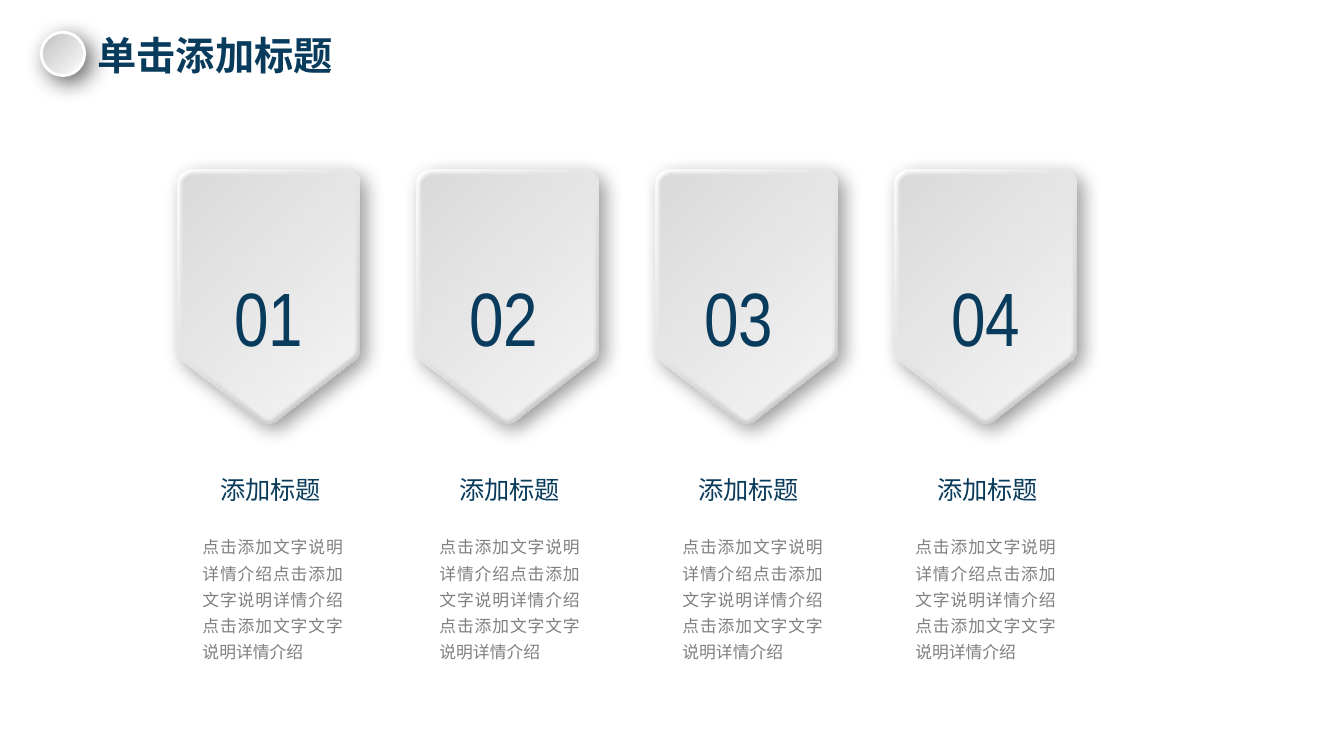
from lxml import etree
from pptx import Presentation
from pptx.dml.color import RGBColor
from pptx.enum.shapes import MSO_SHAPE as Shape
from pptx.enum.text import MSO_AUTO_SIZE as AutoSize, PP_ALIGN as Align
from pptx.oxml.ns import qn
from pptx.util import Inches, Pt

NAVY = "093B5C"
GREY = "808080"
CJK_FONT = "Noto Sans CJK SC"
NUMBER_FONT = "Arial Narrow"

BADGE_LEFT = 1.76
BADGE_TOP = 1.68
COLUMN_STEP = 2.37
HEADING = "添加标题"
DESCRIPTION = "点击添加文字说明详情介绍点击添加文字说明详情介绍点击添加文字文字说明详情介绍"
# number, left of the number box, left of the description box
COLUMNS = [
    ("01", 2.13, 1.91),
    ("02", 4.46, 4.26),
    ("03", 6.79, 6.67),
    ("04", 9.24, 8.98),
]

# Badge outline from its top left corner: one point is a line, three are a curve
BADGE_START = (1.81, 0.13)
BADGE_STEPS = [
    [(1.81, 1.8)],
    [(1.81, 1.83), (1.79, 1.86), (1.77, 1.89)],
    [(1.75, 1.9)],
    [(0.98, 2.5)],
    [(0.93, 2.53), (0.86, 2.53), (0.81, 2.49)],
    [(0.05, 1.9)],
    [(0.02, 1.87), (0, 1.84), (0, 1.8)],
    [(0, 0.13)],
    [(0, 0.06), (0.07, 0), (0.15, 0)],
    [(1.66, 0)],
    [(1.74, 0), (1.81, 0.06), (1.81, 0.13)],
]
CURVE_PARTS = 8


def color(hex_string):
    return RGBColor.from_string(hex_string)


def add_text(slide, text, left, top, width, height, *, size, font=CJK_FONT,
             fill=NAVY, bold=False, align=Align.LEFT, line_spacing=None):
    box = slide.shapes.add_textbox(Inches(left), Inches(top), Inches(width), Inches(height))
    frame = box.text_frame
    frame.word_wrap = True
    frame.auto_size = AutoSize.SHAPE_TO_FIT_TEXT
    para = frame.paragraphs[0]
    para.alignment = align
    if line_spacing:
        para.line_spacing = line_spacing
    span = para.add_run()
    span.text = text
    span.font.size = Pt(size)
    span.font.bold = bold
    span.font.name = font
    span.font.color.rgb = color(fill)
    east_asian = etree.SubElement(span.font._element, qn("a:ea"))
    east_asian.set("typeface", font)


def set_gradient(shape, start, end, angle):
    shape.fill.gradient()
    shape.fill.gradient_angle = angle
    for stop, hex_string in zip(shape.fill.gradient_stops, (start, end)):
        stop.color.rgb = color(hex_string)


def add_effect(shape, tag, **attributes):
    shape.shadow.inherit = False
    effects = shape._element.spPr.find(qn("a:effectLst"))
    effect = etree.SubElement(effects, qn(tag))
    for name, value in attributes.items():
        effect.set(name, str(value))
    return effect


def add_shadow(shape, opacity, blur, distance):
    shadow = add_effect(shape, "a:outerShdw", blurRad=Pt(blur), dist=Pt(distance),
                        dir=45 * 60000, algn="tl", rotWithShape=0)
    tint = etree.SubElement(shadow, qn("a:srgbClr"), val="000000")
    etree.SubElement(tint, qn("a:alpha"), val=str(opacity * 1000))


def curve_points(start, first, second, end):
    points = []
    for part in range(1, CURVE_PARTS + 1):
        t = part / CURVE_PARTS
        weights = ((1 - t) ** 3, 3 * t * (1 - t) ** 2, 3 * t * t * (1 - t), t ** 3)
        corners = (start, first, second, end)
        points.append(tuple(sum(w * c[axis] for w, c in zip(weights, corners))
                            for axis in (0, 1)))
    return points


def badge_points():
    points = [BADGE_START]
    for step in BADGE_STEPS:
        points += step if len(step) == 1 else curve_points(points[-1], *step)
    return points


def add_badge_layer(group, left, start, end):
    points = [(Inches(left + x), Inches(BADGE_TOP + y)) for x, y in badge_points()]
    builder = group.shapes.build_freeform(*points[0])
    builder.add_line_segments(points[1:], close=True)
    layer = builder.convert_to_shape()
    set_gradient(layer, start, end, 315)
    layer.line.fill.background()
    return layer


def add_badge(slide, left):
    group = slide.shapes.add_group_shape()
    rim = add_badge_layer(group, left, "FFFFFF", "C2C2C2")
    add_shadow(rim, opacity=40, blur=14, distance=6)
    face = add_badge_layer(group, left, "D9D9D9", "F7F7F7")
    add_effect(face, "a:softEdge", rad=Pt(2.5))


def add_title_dot(slide):
    dot = slide.shapes.add_shape(Shape.OVAL, Inches(0.41), Inches(0.32),
                                 Inches(0.43), Inches(0.43))
    set_gradient(dot, "FFFFFF", "BFBFBF", 135)
    dot.line.color.rgb = color("FFFFFF")
    dot.line.width = Pt(2)
    add_shadow(dot, opacity=60, blur=16, distance=6)


def main():
    deck = Presentation()
    deck.slide_width = Inches(13.33)
    deck.slide_height = Inches(7.5)
    page = deck.slides.add_slide(deck.slide_layouts[6])

    # Title
    add_text(page, "单击添加标题", 0.87, 0.26, 5.06, 0.57, size=28, bold=True)
    add_title_dot(page)

    # Four columns: badge, number, heading and description
    for index, (number, number_left, description_left) in enumerate(COLUMNS):
        offset = index * COLUMN_STEP
        add_badge(page, BADGE_LEFT + offset)
        add_text(page, number, number_left, 2.64, 1.07, 1.01, size=54,
                 font=NUMBER_FONT, align=Align.CENTER)
        add_text(page, HEADING, 1.98 + offset, 4.66, 1.41, 0.4, size=18,
                 align=Align.CENTER)
        add_text(page, DESCRIPTION, description_left, 5.22, 1.59, 1.41, size=12,
                 fill=GREY, align=Align.JUSTIFY, line_spacing=1.3)

    deck.save("out.pptx")


if __name__ == "__main__":
    main()
